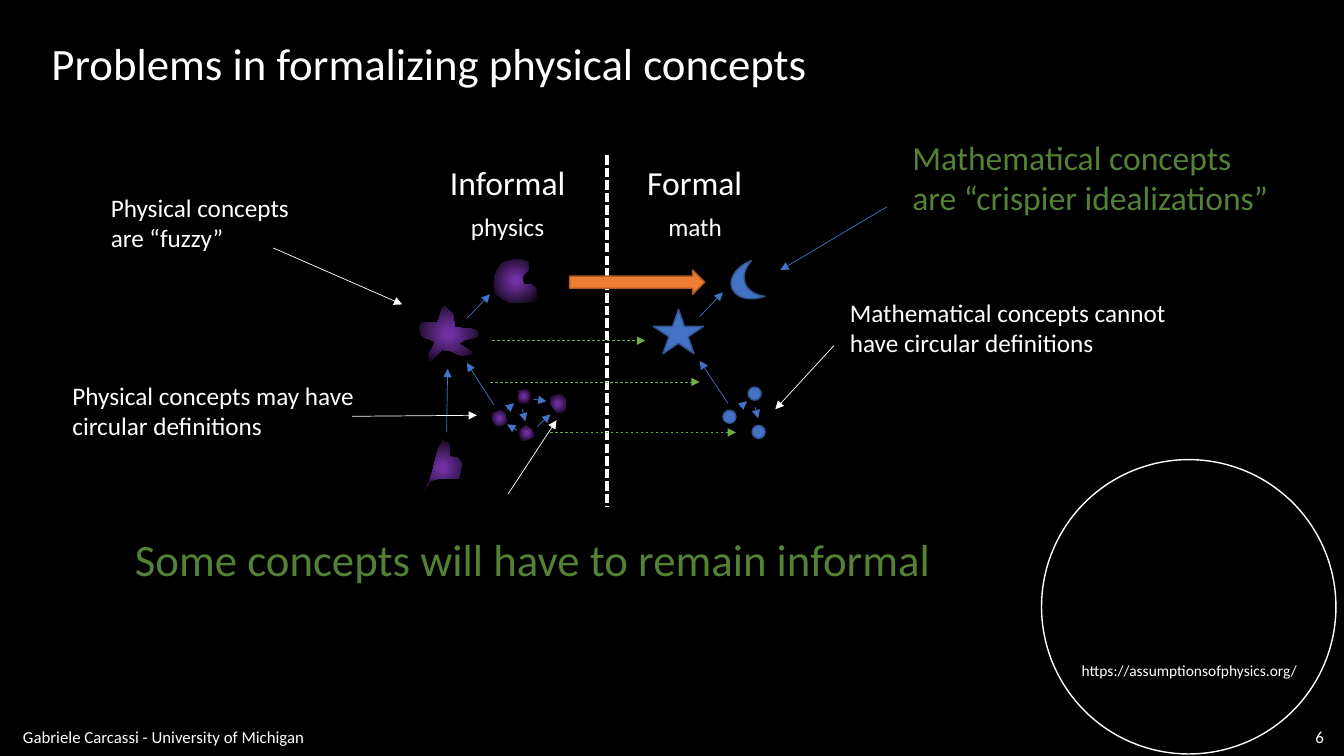
"""Builds the slide on problems in formalizing physical concepts."""
from dataclasses import dataclass

from lxml import etree
from pptx import Presentation
from pptx.dml.color import RGBColor
from pptx.enum import dml, shapes, text
from pptx.oxml import parse_xml
from pptx.oxml.ns import nsdecls, qn
from pptx.util import Inches, Pt


@dataclass(frozen=True)
class Theme:
    font: str = "Calibri"
    black: str = "000000"
    white: str = "FFFFFF"
    blue: str = "4472C4"
    blue_edge: str = "325491"
    orange: str = "ED7D31"
    orange_edge: str = "AF5C24"
    green: str = "70AD47"
    dark_green: str = "548235"
    purple: str = "7030A0"
    mid_purple: str = "3C1A56"
    headline: int = 32
    heading: int = 24
    body: int = 18
    footer: int = 12
    link: int = 11


theme = Theme()
LEFT, CENTER, RIGHT = text.PP_ALIGN.LEFT, text.PP_ALIGN.CENTER, text.PP_ALIGN.RIGHT
TOP, MIDDLE = text.MSO_ANCHOR.TOP, text.MSO_ANCHOR.MIDDLE


def write(shape, words, size, color, align=LEFT, wrap=False, anchor=TOP):
    frame = shape.text_frame
    frame.text = words
    frame.word_wrap = wrap
    frame.auto_size = text.MSO_AUTO_SIZE.NONE
    frame.vertical_anchor = anchor
    paragraph = frame.paragraphs[0]
    paragraph.alignment = align
    paragraph.font.name = theme.font
    paragraph.font.size = Pt(size)
    paragraph.font.color.rgb = RGBColor.from_string(color)


presentation = Presentation()
presentation.slide_width = Inches(13.33)
presentation.slide_height = Inches(7.5)
slide = presentation.slides.add_slide(presentation.slide_layouts[5])
slide.background.fill.solid()
slide.background.fill.fore_color.rgb = RGBColor.from_string(theme.black)

title = slide.shapes.title
title.left, title.top = Inches(0.41), Inches(0.3)
title.width, title.height = Inches(7.77), Inches(0.64)
write(title, "Problems in formalizing physical concepts", theme.headline, theme.white)

fuzzy_crescent = [
    (5.15, 2.57), (5.07, 2.58), (5, 2.6), (4.97, 2.62), (4.93, 2.68), (4.9, 2.76), (4.91, 2.91),
    (4.93, 2.93), (5.01, 2.98), (5.05, 3), (5.31, 3), (5.33, 2.98), (5.32, 2.87), (5.31, 2.85),
    (5.26, 2.82), (5.2, 2.82), (5.18, 2.78), (5.19, 2.73), (5.21, 2.71), (5.24, 2.68),
    (5.24, 2.6), (5.22, 2.59), (5.18, 2.58)]
fuzzy_star = [
    (4.51, 3.22), (4.5, 3.17), (4.49, 3.11), (4.46, 3.08), (4.42, 3.04), (4.4, 3.04), (4.38, 3.07),
    (4.35, 3.17), (4.33, 3.2), (4.18, 3.2), (4.16, 3.23), (4.17, 3.32), (4.21, 3.35), (4.27, 3.37),
    (4.31, 3.39), (4.31, 3.41), (4.28, 3.46), (4.25, 3.51), (4.26, 3.58), (4.29, 3.57), (4.31, 3.54),
    (4.37, 3.49), (4.38, 3.47), (4.46, 3.48), (4.53, 3.51), (4.58, 3.53), (4.65, 3.52), (4.69, 3.5),
    (4.65, 3.47), (4.6, 3.44), (4.55, 3.41), (4.62, 3.37), (4.72, 3.35), (4.74, 3.32), (4.73, 3.28),
    (4.67, 3.26), (4.51, 3.25)]
fuzzy_dots = [
    [(4.94, 4.08), (4.9, 4.09), (4.88, 4.11), (4.88, 4.16), (4.91, 4.21), (4.95, 4.23), (5.01, 4.21),
     (5.03, 4.19), (5.01, 4.11), (5, 4.09), (4.96, 4.07)],
    [(5.13, 3.88), (5.19, 3.87), (5.21, 3.86), (5.24, 3.87), (5.26, 3.91), (5.24, 4), (5.15, 4),
     (5.14, 3.98), (5.15, 3.9)],
    [(5.22, 4.22), (5.17, 4.25), (5.15, 4.29), (5.16, 4.37), (5.22, 4.37), (5.26, 4.35), (5.3, 4.33),
     (5.28, 4.27), (5.24, 4.24)],
    [(5.46, 4.01), (5.46, 3.94), (5.51, 3.92), (5.56, 3.91), (5.58, 3.92), (5.61, 3.96), (5.61, 4.07),
     (5.59, 4.09), (5.55, 4.1), (5.52, 4.09), (5.47, 4.02)],
]
fuzzy_root = [
    (4.39, 4.37), (4.34, 4.47), (4.29, 4.67), (4.25, 4.8), (4.22, 4.86), (4.19, 4.91), (4.22, 4.85),
    (4.24, 4.8), (4.27, 4.77), (4.34, 4.75), (4.55, 4.75), (4.57, 4.66), (4.58, 4.6), (4.55, 4.55),
    (4.53, 4.54), (4.46, 4.53), (4.46, 4.42), (4.44, 4.39)]
gradient_stops = "".join(
    f'<a:gs pos="{percent * 1000}"><a:srgbClr val="{color}"/></a:gs>'
    for percent, color in [(12, theme.purple), (56, theme.mid_purple), (100, theme.black)])
gradient = (
    f'<a:gradFill {nsdecls("a")} rotWithShape="1"><a:gsLst>{gradient_stops}</a:gsLst><a:path path="circle">'
    '<a:fillToRect l="50000" t="50000" r="50000" b="50000"/></a:path></a:gradFill>')
for points in [fuzzy_crescent, fuzzy_star, *fuzzy_dots, fuzzy_root]:
    corners = [(round(x * 100), round(y * 100)) for x, y in points]
    builder = slide.shapes.build_freeform(*corners[0], scale=Inches(0.01))
    builder.add_line_segments(corners[1:], close=True)
    shape = builder.convert_to_shape()
    shape.shadow.inherit = False
    shape.line.fill.background()
    shape._element.spPr.find(qn("a:custGeom")).addnext(parse_xml(gradient))

definition_arrows = [
    (5.33, 4.23, 5.46, 4.11), (4.63, 3.16, 4.86, 2.92), (4.9, 4.02, 4.63, 3.6), (4.43, 4.29, 4.44, 3.66),
    (5.18, 4.06, 5.21, 4.18), (5.29, 3.96, 5.42, 3.98), (5.03, 4.06, 5.1, 4), (5.13, 4.27, 5.03, 4.21),
    (6.94, 3.14, 7.17, 2.9), (7.22, 4, 6.94, 3.58), (7.49, 4.04, 7.52, 4.15), (7.34, 4.04, 7.41, 3.98),
    (8.8, 2.05, 7.74, 2.68)]
mapping_arrows = [(4.86, 3.79, 6.94, 3.79), (4.88, 3.38, 6.4, 3.38), (5.46, 4.29, 7.3, 4.29)]
callout_arrows = [
    (2.71, 2.46, 3.99, 3.02), (3.49, 4.13, 4.73, 4.12), (8.27, 3.43, 7.69, 4.06), (5.04, 4.9, 5.52, 4.17)]
divider = [(6.02, 1.54, 6.02, 5.03)]
line_groups = [
    (divider, theme.white, 2.25, dml.MSO_LINE.SQUARE_DOT, False),
    (definition_arrows, theme.blue, 0.5, None, True),
    (mapping_arrows, theme.green, 0.5, dml.MSO_LINE.DASH, True),
    (callout_arrows, theme.white, 0.5, None, True),
]
for lines, color, weight, dash, has_arrowhead in line_groups:
    for ends in lines:
        connector = slide.shapes.add_connector(shapes.MSO_CONNECTOR.STRAIGHT, *map(Inches, ends))
        connector.line.color.rgb = RGBColor.from_string(color)
        connector.line.width = Pt(weight)
        connector.line.dash_style = dash
        properties = connector._element.spPr
        if has_arrowhead:
            etree.SubElement(properties.find(qn("a:ln")), qn("a:tailEnd"), type="triangle")
        etree.SubElement(properties, qn("a:effectLst"))

preset = shapes.MSO_SHAPE
crisp_shapes = [
    (preset.OVAL, 10.33, 4.56, 2.92, 2.92, 0, None, theme.white),
    (preset.MOON, 7.25, 2.62, 0.28, 0.38, 339.7, theme.blue, theme.blue_edge),
    (preset.STAR_5_POINT, 6.48, 3.07, 0.5, 0.44, 0, theme.blue, theme.blue_edge),
    (preset.RIGHT_ARROW, 5.65, 2.68, 1.34, 0.24, 0, theme.orange, theme.orange_edge),
]
for left, top in [(7.42, 3.84), (7.17, 4.07), (7.46, 4.22)]:
    crisp_shapes.append((preset.OVAL, left, top, 0.13, 0.13, 0, theme.blue, theme.blue_edge))
for kind, left, top, width, height, rotation, fill, edge in crisp_shapes:
    shape = slide.shapes.add_shape(kind, Inches(left), Inches(top), Inches(width), Inches(height))
    shape.shadow.inherit = False
    shape.rotation = rotation
    shape.line.color.rgb = RGBColor.from_string(edge)
    shape.line.width = Pt(1)
    if fill:
        shape.fill.solid()
        shape.fill.fore_color.rgb = RGBColor.from_string(fill)
    else:
        shape.fill.background()

labels = [
    (10.63, 6.51, 2.35, 0.29, "https://assumptionsofphysics.org/", theme.link, theme.white, LEFT, False, TOP),
    (0.13, 7.18, 6.53, 0.26, "Gabriele Carcassi - University of Michigan", theme.footer, theme.white, LEFT, True, MIDDLE),
    (12.62, 7.18, 0.61, 0.25, "6", theme.footer, theme.white, RIGHT, True, MIDDLE),
    (4.36, 1.56, 1.35, 0.5, "Informal", theme.heading, theme.white, CENTER, False, TOP),
    (6.32, 1.56, 1.14, 0.5, "Formal", theme.heading, theme.white, CENTER, False, TOP),
    (4.57, 2.05, 0.93, 0.4, "physics", theme.body, theme.white, CENTER, False, TOP),
    (6.53, 2.05, 0.73, 0.4, "math", theme.body, theme.white, CENTER, False, TOP),
    (1, 1.86, 2.18, 0.71, "Physical concepts are “fuzzy”", theme.body, theme.white, LEFT, True, TOP),
    (8.95, 1.31, 3.78, 0.91, "Mathematical concepts are “crispier idealizations”", theme.heading, theme.dark_green, LEFT, True, TOP),
    (0.62, 3.72, 3.24, 0.71, "Physical concepts may have circular definitions", theme.body, theme.white, LEFT, True, TOP),
    (8.33, 2.9, 3.68, 0.71, "Mathematical concepts cannot have circular definitions", theme.body, theme.white, LEFT, True, TOP),
    (1.24, 5.23, 8.17, 0.64, "Some concepts will have to remain informal", theme.headline, theme.dark_green, LEFT, False, TOP),
]
for left, top, width, height, *content in labels:
    box = slide.shapes.add_textbox(Inches(left), Inches(top), Inches(width), Inches(height))
    write(box, *content)

presentation.save("out.pptx")
